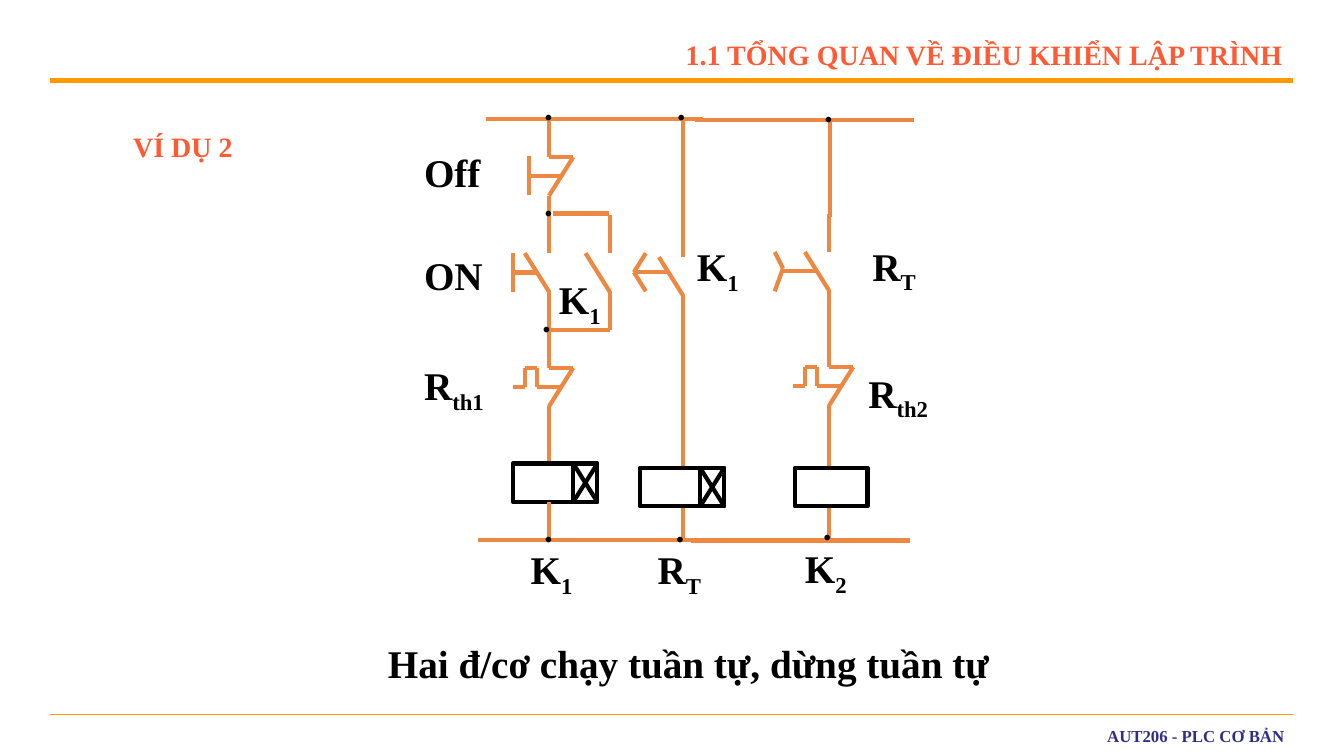
from itertools import pairwise
from lxml import etree
from pptx import Presentation
from pptx.dml.color import RGBColor
from pptx.enum.shapes import MSO_CONNECTOR, MSO_SHAPE
from pptx.enum.text import MSO_ANCHOR, PP_ALIGN
from pptx.oxml.ns import qn
from pptx.util import Cm, Pt

STRAIGHT = MSO_CONNECTOR.STRAIGHT
RECT = MSO_SHAPE.RECTANGLE
TOP, MIDDLE = MSO_ANCHOR.TOP, MSO_ANCHOR.MIDDLE
LEFT, RIGHT = PP_ALIGN.LEFT, PP_ALIGN.RIGHT
WIRE, BLACK, WHITE = "ED8843", "000000", "FFFFFF"
RED, GOLD, NAVY = "FF5A33", "FF9900", "2D2D8A"
HALF_W, HALF_H = 0.61 / 2, 0.97 / 2
COIL_H, TIMER_W = 0.97, 0.61


def color(code):
    return RGBColor.from_string(code)


class Board:
    def __init__(self, slide):
        self.shapes = slide.shapes
        self.font = "Times New Roman"

    def lines(self, *points, ink=WIRE, width=3):
        for start, end in pairwise(points):
            wire = self.shapes.add_connector(
                STRAIGHT, *(Cm(n) for n in (*start, *end)))
            wire.line.color.rgb = color(ink)
            wire.line.width = Pt(width)
            etree.SubElement(wire._element.spPr, qn("a:effectLst"))

    def symbol(self, x, y, *steps):
        self.lines(*((x + dx * HALF_W, y + dy * HALF_H) for dx, dy in steps))

    def pole(self, x, *spans):
        for top, bottom in spans:
            self.lines((x, top), (x, bottom))

    def open(self, x, y):
        self.symbol(x, y, (-2, 0), (0, 2))

    def closed(self, x, y):
        self.symbol(x, y, (0, 0), (2, 0), (0, 2))

    def push(self, x, y, reach):
        self.lines((x, y), (x, y + 2 * HALF_H))
        self.lines((x, y + HALF_H), (x + reach, y + HALF_H))

    def relay(self, x, y):
        self.closed(x, y)
        self.symbol(x, y, (-3, 1), (-2, 1), (-2, 0), (-1, 0), (-1, 1), (1, 1))

    def box(self, x, y, width):
        box = self.shapes.add_shape(RECT, Cm(x), Cm(y), Cm(width), Cm(COIL_H))
        box.shadow.inherit = False
        box.fill.solid()
        box.fill.fore_color.rgb = color(WHITE)
        box.line.color.rgb = color(BLACK)
        box.line.width = Pt(3)

    def timer(self, x, y, width):
        self.box(x, y, width)
        right, low = x + width, y + COIL_H
        left = right - TIMER_W
        self.box(left, y, TIMER_W)
        self.lines((right, y), (left, low), ink=BLACK)
        self.lines((left, y), (right, low), ink=BLACK)

    def text(self, x, y, width, height, words, sub="", size=28, ink=BLACK,
             font=None, align=LEFT, anchor=TOP, inset=0.25):
        frame = self.shapes.add_textbox(
            Cm(x), Cm(y), Cm(width), Cm(height)).text_frame
        frame.word_wrap = True
        frame.vertical_anchor = anchor
        frame.margin_left = frame.margin_right = Cm(inset)
        frame.margin_top = frame.margin_bottom = Cm(inset / 2)
        para = frame.paragraphs[0]
        para.alignment = align
        for part, base in ((words, 0), (sub, -25000)):
            if part:
                run = para.add_run()
                run.text = part
                run.font.name = font or self.font
                run.font.size = Pt(size)
                run.font.bold = True
                run.font.color.rgb = color(ink)
                if base:
                    run._r.get_or_add_rPr().set("baseline", str(base))

    def dot(self, x, y):
        self.text(x, y, 0.99, 0.86, "•", size=14, font="Arial")


def main():
    deck = Presentation()
    deck.slide_width, deck.slide_height = Cm(33.88), Cm(19.05)
    board = Board(deck.slides.add_slide(deck.slide_layouts[6]))

    board.lines((1.27, 2.03), (32.59, 2.03), ink=GOLD)
    board.lines((1.27, 18.01), (32.59, 18.01), ink=GOLD, width=0.75)
    board.text(14.55, 0.69, 18.03, 1.35, "1.1 TỔNG QUAN VỀ ĐIỀU KHIỂN LẬP TRÌNH",
               size=20, ink=RED, align=RIGHT, anchor=MIDDLE)
    board.text(3.07, 3.02, 3.05, 1.35, "VÍ DỤ 2",
               size=20, ink=RED, align=RIGHT, anchor=MIDDLE)
    board.text(9.75, 18.06, 22.83, 0.97, "AUT206 - PLC CƠ BẢN",
               size=12, ink=NAVY, align=RIGHT, anchor=MIDDLE, inset=0.2)
    board.text(9.53, 15.98, 17.7, 1.45, "Hai đ/cơ chạy tuần tự, dừng tuần tự")

    for start, end, y in ((12.24, 17.73, 3), (17.53, 23.04, 3.03),
                          (12.04, 17.53, 13.61), (17.42, 22.94, 13.62)):
        board.lines((start, y), (end, y))

    main_x, side_x, delay_x, last_x = 13.84, 15.37, 17.22, 20.9
    board.pole(main_x, (3, 3.96), (4.93, 6.38), (7.34, 8.79),
               (8.79, 9.27), (10.24, 11.68))
    board.pole(side_x, (5.41, 6.38), (7.34, 8.31))
    board.pole(delay_x, (2.97, 5.77), (5.51, 6.48), (7.44, 8.41), (8.38, 13.59))
    board.pole(last_x + 0.03, (3.07, 5.46))
    board.pole(last_x, (5.38, 6.35), (7.32, 8.28), (8.28, 8.76),
               (8.76, 9.25), (10.21, 13.59))
    board.lines((13.94, 5.38), (15.34, 5.38))
    board.lines((main_x, 8.31), (side_x, 8.31))

    board.closed(main_x, 3.96)
    board.push(13.34, 3.94, 0.78)
    board.push(12.93, 6.38, 0.61)
    for x, y in ((main_x, 6.38), (side_x, 6.38),
                 (delay_x, 6.48), (last_x, 6.35)):
        board.open(x, y)
    board.lines((15.98, 6.86), (16.89, 6.86))
    board.lines((16.28, 6.38), (15.98, 6.86), (16.28, 7.34))
    board.lines((19.69, 6.83), (20.6, 6.83))
    board.lines((19.53, 6.35), (19.74, 6.76), (19.53, 7.34))
    board.relay(main_x, 9.27)
    board.relay(last_x, 9.25)

    board.timer(12.93, 11.68, 2.13)
    board.timer(16.13, 11.79, 2.13)
    board.box(20.04, 11.79, 1.83)
    board.pole(main_x, (12.65, 13.61))

    for x, y in ((13.49, 2.51), (13.49, 4.95), (16.84, 2.51), (13.44, 7.87),
                 (13.49, 13.16), (16.81, 13.16), (20.55, 2.57), (20.52, 13.11)):
        board.dot(x, y)
    for x, y, words, sub in (
            (10.44, 3.61, "Off", ""), (10.44, 6.2, "ON", ""),
            (10.44, 8.99, "R", "th1"), (13.84, 6.81, "K", "1"),
            (17.32, 5.99, "K", "1"), (21.74, 5.97, "R", "T"),
            (21.64, 9.17, "R", "th2"), (13.13, 13.61, "K", "1"),
            (16.33, 13.61, "R", "T"), (20.04, 13.59, "K", "2")):
        board.text(x, y, 2.49 if len(sub) > 1 else 2.01, 1.6, words, sub)

    deck.save("out.pptx")


if __name__ == "__main__":
    main()
